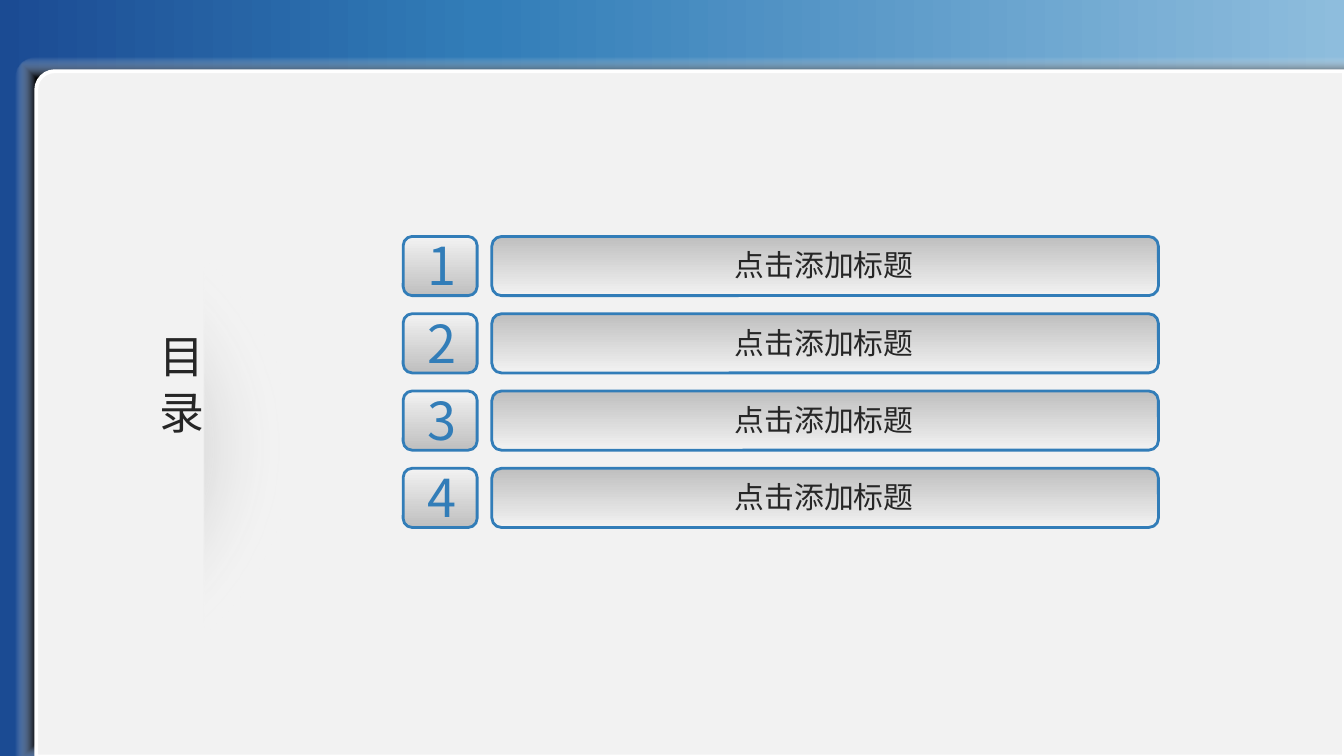
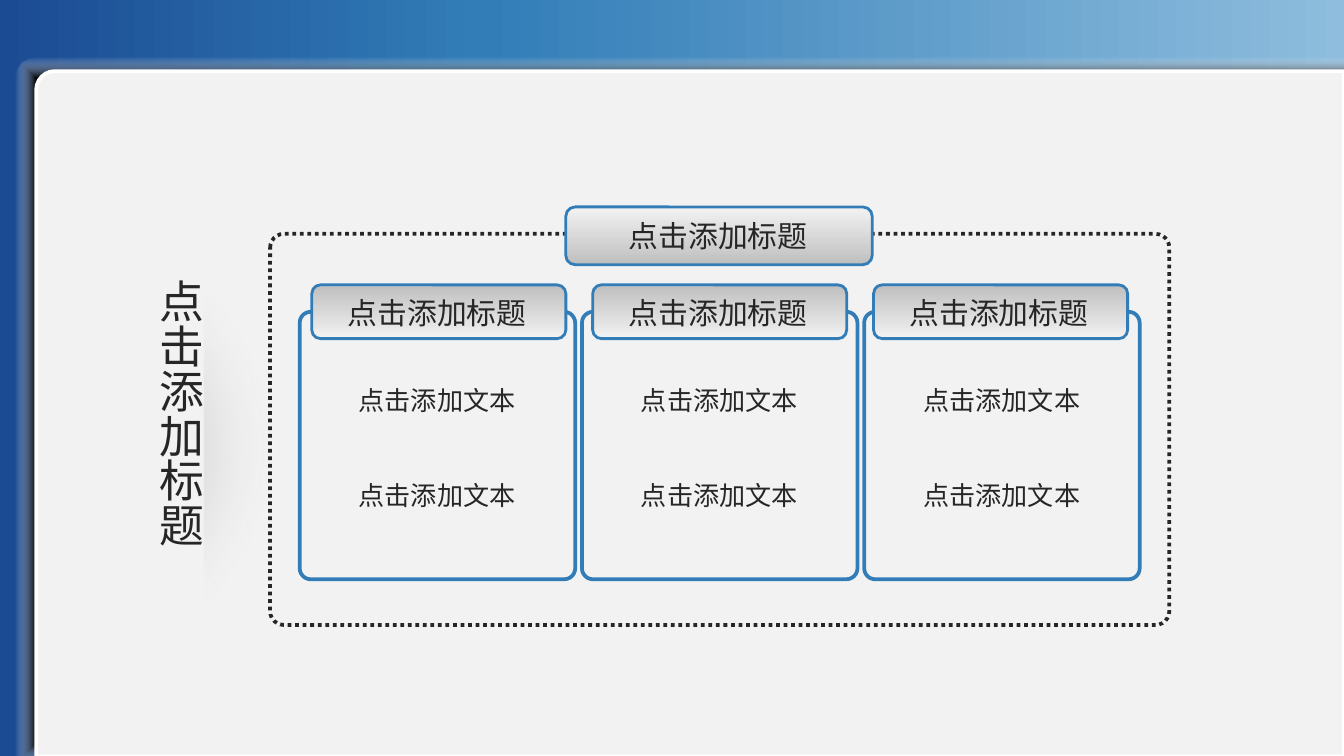
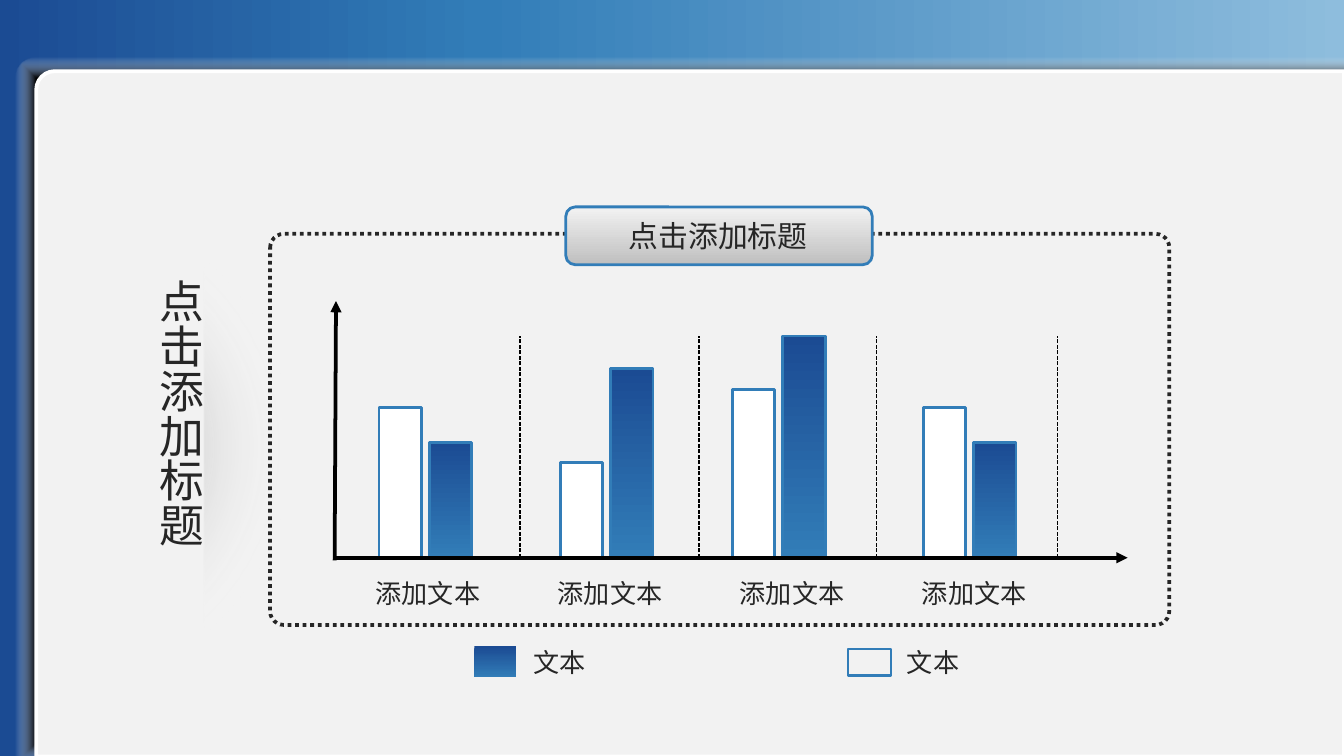
from pptx import Presentation
from pptx.dml.color import RGBColor
from pptx.enum.dml import MSO_LINE
from pptx.enum.shapes import MSO_CONNECTOR, MSO_SHAPE
from pptx.enum.text import MSO_AUTO_SIZE, PP_ALIGN
from pptx.oxml import parse_xml
from pptx.oxml.ns import nsdecls, qn
from pptx.util import Pt

PX = 4572  # EMU in one px, 200 px to the inch
C = {"navy": "1B4B93", "blue": "327DB8", "sky": "8EBDDD", "panel": "F2F2F2",
     "silver": "BFBFBF", "gray": "808080", "ink": "262626",
     "white": "FFFFFF", "black": "000000"}
SC, JP = "Noto Sans CJK SC", "Noto Sans CJK JP"
RECT, ROUND = MSO_SHAPE.RECTANGLE, MSO_SHAPE.ROUNDED_RECTANGLE
CORNER = MSO_SHAPE.ROUND_1_RECTANGLE
RAISED = [(0, "panel"), (100, "silver")]
SUNKEN = [(0, "silver"), (100, "panel")]
DEEP = [(0, "navy"), (100, "blue")]
HEADING = "点击添加标题"


def shape(s, geom, at=None, fill=None, path=None, angle=90, line=None,
          width=1.5, dash=None, adj=None):
    """Draw a preset at a place, or a freeform builder; a list fill is a gradient."""
    sp = s.shapes.add_shape(geom, *(v * PX for v in at)) if at else geom.convert_to_shape()
    sp.shadow.inherit = False
    if adj is not None:
        sp.adjustments[0] = adj
    sp.fill.background()
    if isinstance(fill, list):
        stops = "".join(
            f'<a:gs pos="{pos * 1000}"><a:srgbClr val="{C[color]}">'
            + "".join(f'<a:alpha val="{a * 1000}"/>' for a in alpha)
            + "</a:srgbClr></a:gs>" for pos, color, *alpha in fill)
        shade = f'<a:lin ang="{angle * 60000}" scaled="0"/>'
        if path:
            shade = (f'<a:path path="{path}"><a:fillToRect l="50000" t="50000" '
                     'r="50000" b="50000"/></a:path>')
        spPr = sp.element.spPr
        spPr.replace(spPr.find(qn("a:noFill")), parse_xml(
            f'<a:gradFill {nsdecls("a")} rotWithShape="1">'
            f"<a:gsLst>{stops}</a:gsLst>{shade}</a:gradFill>"))
    elif fill:
        sp.fill.solid()
        sp.fill.fore_color.rgb = RGBColor.from_string(C[fill])
    if line:
        sp.line.color.rgb = RGBColor.from_string(C[line])
        sp.line.width = Pt(width)
        if dash:
            sp.line.dash_style = dash
    else:
        sp.line.fill.background()
    return sp


def text(s, words, at, size=16, font=SC, color="ink", wrap=False,
         align=None, vert=None, outline=None):
    tf = s.shapes.add_textbox(*(v * PX for v in at)).text_frame
    tf.word_wrap = wrap
    tf.auto_size = MSO_AUTO_SIZE.SHAPE_TO_FIT_TEXT
    if vert:
        tf._txBody.bodyPr.set("vert", vert)
    p = tf.paragraphs[0]
    p.alignment = align
    r = p.add_run()
    r.text = words
    r.font.size = Pt(size)
    r.font.name = font
    r.font.color.rgb = RGBColor.from_string(C[color])
    rPr = r._r.get_or_add_rPr()
    rPr.find(qn("a:latin")).addnext(
        parse_xml(f'<a:ea {nsdecls("a")} typeface="{font}"/>'))
    if outline:
        rPr.insert(0, parse_xml(
            f'<a:ln {nsdecls("a")} w="3175"><a:solidFill>'
            f'<a:srgbClr val="{C[outline]}"/></a:solidFill></a:ln>'))


prs = Presentation()
prs.slide_width, prs.slide_height = 2000 * PX, 1125 * PX
blank = prs.slide_layouts[6]
for ph in list(blank.placeholders):
    ph.element.getparent().remove(ph.element)
contents, columns, bars = [prs.slides.add_slide(blank) for _ in range(3)]

# Shared backdrop: blue band, panel with its shadow, glow beside the title
s = contents
shape(s, RECT, (0, 0, 2000, 1125), angle=0,
      fill=[(0, "navy"), (36, "blue"), (100, "sky")])
panels = [
    shape(s, CORNER, (24, 86, 2000, 1050), adj=0.032, path="shape",
          fill=[(94, "black"), (100, "white", 0)]),
    shape(s, CORNER, (54, 106, 1946, 1020), adj=0.027, fill="panel",
          line="white", width=2)]
for sp in panels:
    sp.element.spPr.find(qn("a:xfrm")).set("flipH", "1")

glow = s.shapes.build_freeform(-584, 852, scale=PX)
glow.add_line_segments([(-572, 852), (-572, 900), (516, 900), (516, 852),
                        (722, 852), (722, 1026), (-584, 1026)])
glow.move_to(-584, 304)
glow.add_line_segments([(722, 304), (722, 388), (-584, 388)])
shape(s, glow, path="circle", fill=[(7, "gray"), (49, "white", 0)]).rotation = 270

# The backdrop belongs to the layout, so every slide shows it
for sp in list(s.shapes):
    blank.shapes.element.append(sp.element)

# Contents
text(s, "目 录", (196, 478, 122, 174), size=24, font=JP, vert="eaVert")
for i in range(4):
    y = 352 + 115 * i
    shape(s, ROUND, (732, y, 992, 88), fill=SUNKEN, line="blue", adj=0.162)
    text(s, HEADING, (1074, y + 6, 310, 74))
    shape(s, ROUND, (600, y, 110, 88), fill=RAISED, line="blue", adj=0.151)
    text(s, str(i + 1), (616, y - 14, 84, 114), size=28, font=JP,
         color="blue", outline="white")

# Side title, dotted frame and heading of the two content slides
for s in (columns, bars):
    text(s, HEADING, (196, 396, 122, 424), size=24, font=JP, vert="eaVert")
    shape(s, ROUND, (402, 348, 1338, 582), line="ink", width=2,
          dash=MSO_LINE.ROUND_DOT, adj=0.035)
    shape(s, ROUND, (842, 308, 456, 86), fill=RAISED, line="blue", adj=0.162)
    text(s, HEADING, (916, 314, 310, 74))

# Three cards with tabs
s = columns
for i in range(3):
    card, tab = 446 + 420 * i, 464 + 418 * i
    shape(s, ROUND, (card, 464, 410, 398), line="blue", width=2, adj=0.041)
    for y in (562, 704):
        text(s, "点击添加文本", (card + 68, y, 276, 68), size=14)
    shape(s, ROUND, (tab, 424, 378, 80), fill=SUNKEN, line="blue", adj=0.162)
    text(s, HEADING, (tab + 34, 428, 310, 74))

# Bar diagram: pairs of bars on a common base
s = bars
BASE = 830
pairs = [(564, 224, 172), (834, 142, 282), (1090, 250, 330), (1374, 224, 172)]
for i, (x, plain, deep) in enumerate(pairs):
    shape(s, RECT, (x, BASE - plain, 63, plain), fill="white", line="blue")
    shape(s, RECT, (x + 75, BASE - deep, 63, deep), fill=DEEP, line="blue")
    text(s, "添加文本", (534 + 271 * i, 850, 206, 66), size=14,
         font="Calibri", wrap=True, align=PP_ALIGN.CENTER)

# Dividers and axes
lines = [((x, BASE, x, 500), 0.75, None) for x in (774, 1040, 1304, 1574)]
lines += [((500, 448, 498, 834), 2, "headEnd"),
          ((496, BASE, 1678, BASE), 2, "tailEnd")]
for ends, width, arrow in lines:
    cn = s.shapes.add_connector(MSO_CONNECTOR.STRAIGHT, *(v * PX for v in ends))
    cn.line.color.rgb = RGBColor.from_string(C["black"])
    cn.line.width = Pt(width)
    if arrow:
        cn.line._get_or_add_ln().append(
            parse_xml(f'<a:{arrow} {nsdecls("a")} type="triangle"/>'))
    else:
        cn.line.dash_style = MSO_LINE.SQUARE_DOT
    cn.element.spPr.append(parse_xml(f'<a:effectLst {nsdecls("a")}/>'))

# Legend
shape(s, RECT, (706, 962, 62, 46), fill=DEEP)
shape(s, RECT, (1262, 966, 64, 40), line="blue")
for x in (774, 1330):
    text(s, "文本", (x, 952, 118, 68), size=14)

prs.save("out.pptx")
